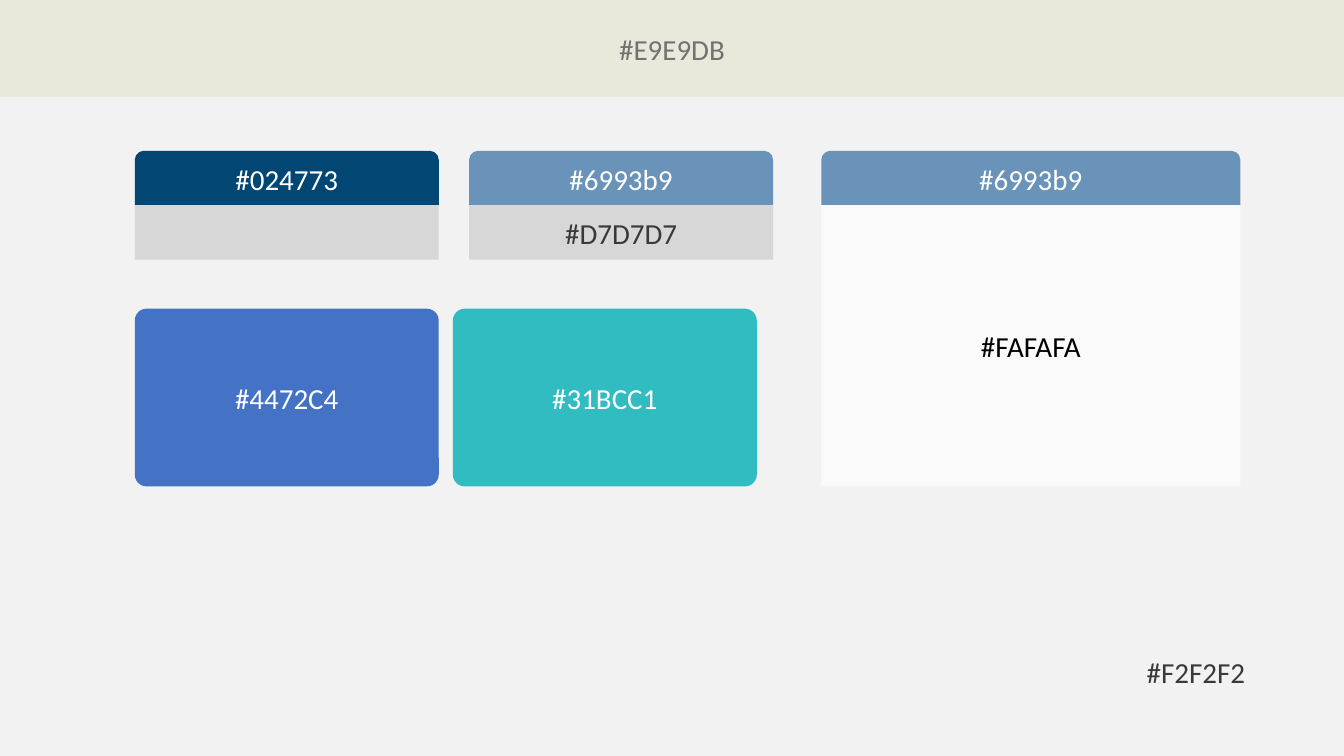
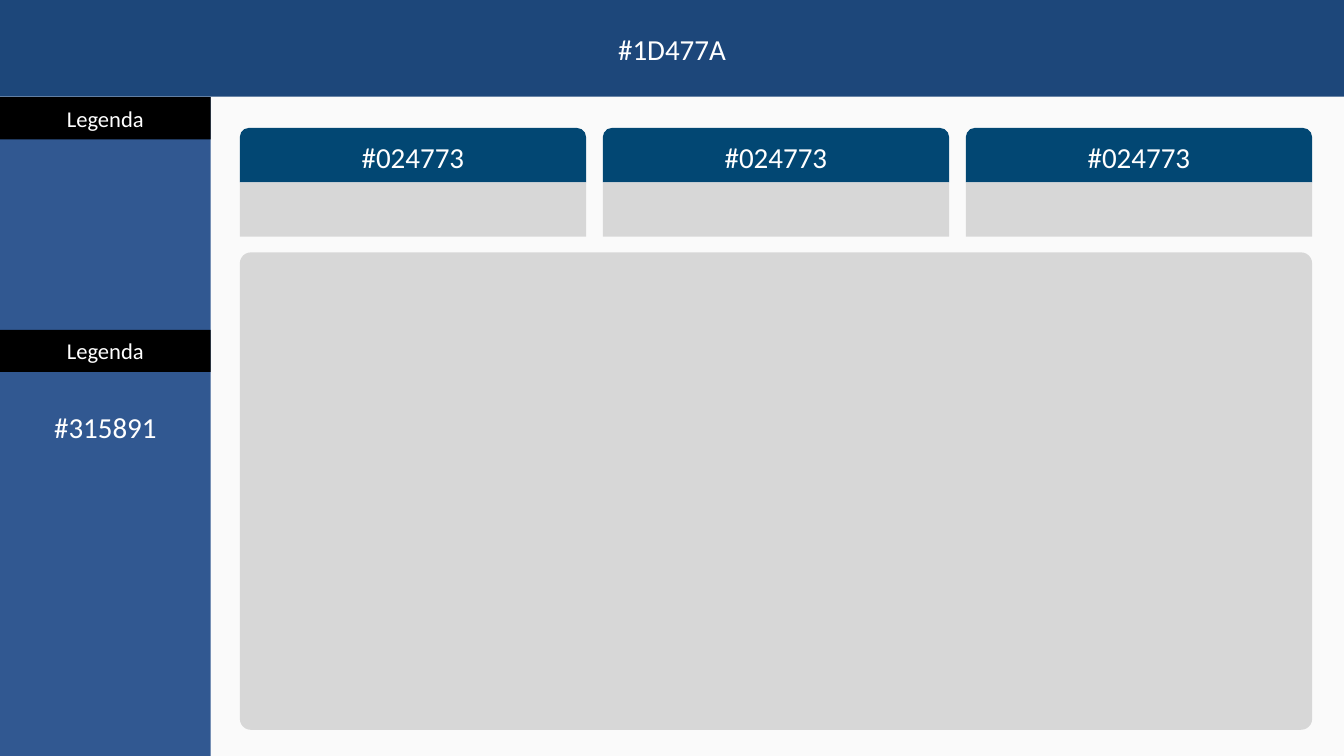
from pptx import Presentation
from pptx.dml.color import RGBColor
from pptx.enum.shapes import MSO_SHAPE as Shape
from pptx.enum.text import MSO_ANCHOR as Anchor, PP_ALIGN as Align
from pptx.util import Pt

COLORS = {
    "light page": "F2F2F2", "white page": "FAFAFA", "sand": "E9E9DB",
    "navy": "024773", "steel": "6993B9", "grey": "D7D7D7",
    "blue": "4472C4", "teal": "31BCC1", "dark band": "1D477A",
    "sidebar": "315891", "black": "000000", "white": "FFFFFF",
    "dark text": "3B3838", "muted text": "767171",
}
FONT = "Calibri"
WIDTH, HEIGHT = 833.76, 468.72
BAND_HEIGHT = 60
CARD_HEADER = 33.75


def add_box(shapes, text, left, top, width, height, fill=None, kind=Shape.RECTANGLE,
            radius=None, size=18, color="white", align=Align.CENTER):
    """Add a filled shape, or a plain text box when fill is None."""
    place = [Pt(value) for value in (left, top, width, height)]
    if fill is None:
        box = shapes.add_textbox(*place)
    else:
        box = shapes.add_shape(kind, *place)
        box.shadow.inherit = False
        box.fill.solid()
        box.fill.fore_color.rgb = RGBColor.from_string(COLORS[fill])
        box.line.fill.background()
    if radius is not None:
        box.adjustments[0] = radius
    if text:
        frame = box.text_frame
        frame.word_wrap = True
        frame.vertical_anchor = Anchor.MIDDLE
        para = frame.paragraphs[0]
        para.alignment = align
        span = para.add_run()
        span.text = text
        span.font.name = FONT
        span.font.size = Pt(size)
        span.font.color.rgb = RGBColor.from_string(COLORS[color])


def add_card(shapes, title, left, top, width, header_fill, body_height=CARD_HEADER,
             body="", body_fill="grey", body_color="dark text"):
    """Add a round-topped header with a square body directly below it."""
    add_box(shapes, title, left, top, width, CARD_HEADER, header_fill,
            kind=Shape.ROUND_2_SAME_RECTANGLE)
    add_box(shapes, body, left, top + CARD_HEADER, width, body_height, body_fill,
            color=body_color)


deck = Presentation()
deck.slide_width, deck.slide_height = Pt(WIDTH), Pt(HEIGHT)

# Page colour and top band of each slide
pages = []
for page_color, band_text, band_fill, band_color in (
    ("light page", "#E9E9DB", "sand", "muted text"),
    ("white page", "#1D477A", "dark band", "white"),
):
    page = deck.slides.add_slide(deck.slide_layouts[6])
    page.background.fill.solid()
    page.background.fill.fore_color.rgb = RGBColor.from_string(COLORS[page_color])
    add_box(page.shapes, band_text, 0, 0, WIDTH, BAND_HEIGHT, band_fill, color=band_color)
    pages.append(page.shapes)
palette, layout = pages

# Slide 1: palette swatches
left, top, swatch_width = 83.6, 93.5, 188.6
swatch_top, swatch_height = 191.4, 110.2
add_card(palette, "#024773", left, top, swatch_width, "navy")
add_card(palette, "#6993b9", 291, top, swatch_width, "steel", body="#D7D7D7")
add_card(palette, "#6993b9", 509.5, top, 260, "steel", body="#FAFAFA",
         body_height=swatch_top + swatch_height - top - CARD_HEADER,
         body_fill="white page", body_color="black")
for swatch_left, text, fill in ((left, "#4472C4", "blue"), (280.9, "#31BCC1", "teal")):
    add_box(palette, text, swatch_left, swatch_top, swatch_width, swatch_height, fill,
            kind=Shape.ROUNDED_RECTANGLE, radius=0.067)
add_box(palette, "#F2F2F2", 704.2, 402.2, 109.4, 29, color="dark text", align=Align.LEFT)

# Slide 2: sidebar with legends, three cards and a panel
sidebar_width = 130.8
add_box(layout, "#315891", 0, BAND_HEIGHT, sidebar_width, HEIGHT - BAND_HEIGHT, "sidebar")
for legend_top in (60.3, 204.5):
    add_box(layout, "Legenda", 0, legend_top, sidebar_width, 26.2, "black", size=14)

panel_left, panel_width, card_gap = 148.8, 665.2, 10.4
card_width = (panel_width - 2 * card_gap) / 3
cards = layout.add_group_shape().shapes
for column in range(3):
    add_card(cards, "#024773", panel_left + column * (card_width + card_gap), 79.3,
             card_width, "navy")
add_box(layout, "", panel_left, 156.5, panel_width, 296, "grey",
        kind=Shape.ROUNDED_RECTANGLE, radius=0.023)

deck.save("out.pptx")
